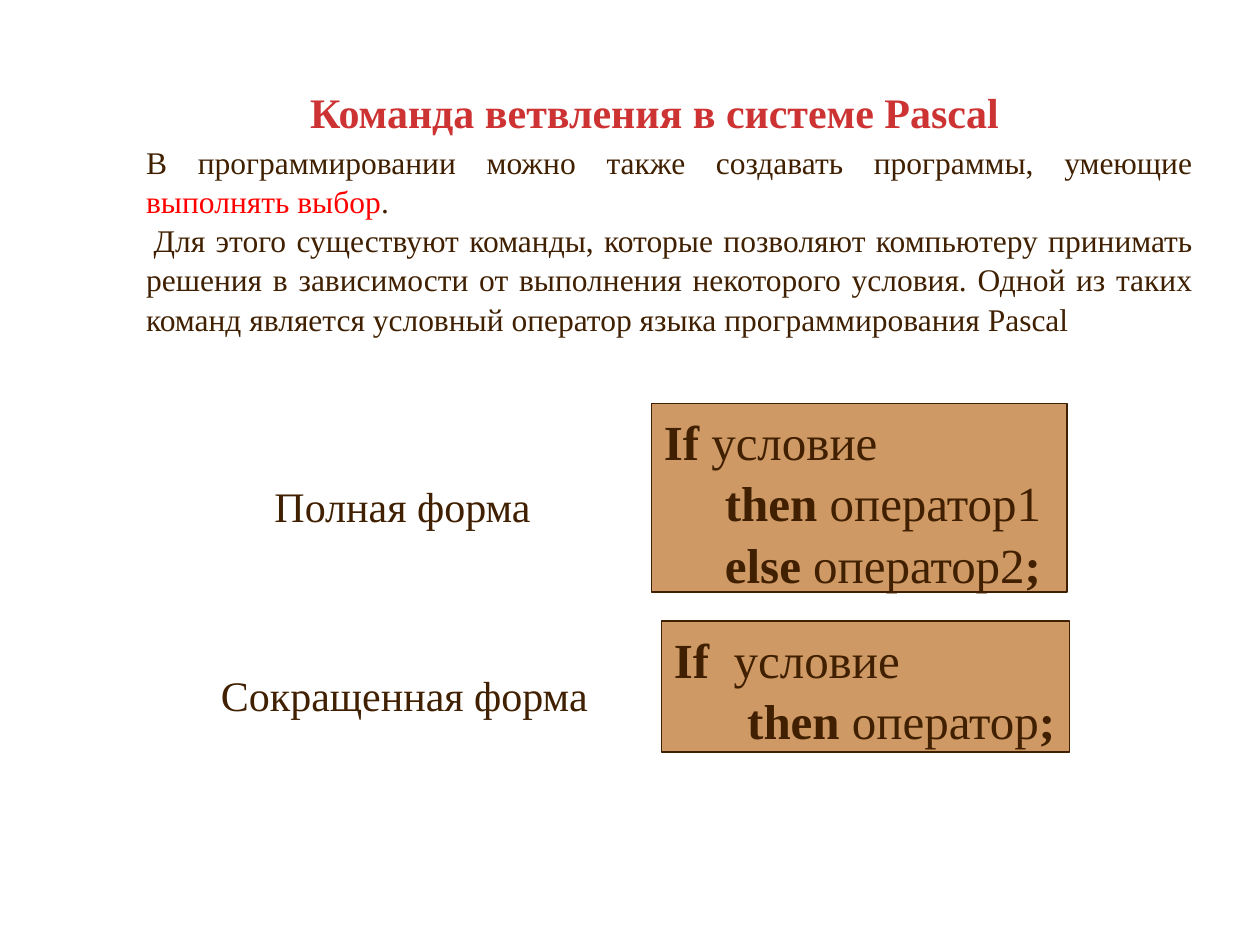
from dataclasses import dataclass

from pptx import Presentation
from pptx.dml.color import RGBColor
from pptx.enum.shapes import MSO_SHAPE
from pptx.enum.text import MSO_ANCHOR, MSO_AUTO_SIZE, PP_ALIGN
from pptx.oxml.ns import qn
from pptx.util import Inches, Pt


@dataclass(frozen=True)
class Theme:
    font: str = "Times New Roman"
    ink: str = "402000"
    heading: str = "CD3333"
    accent: str = "FF0000"
    code_fill: str = "CE9964"
    body_size: int = 18
    heading_size: int = 24
    code_size: int = 28
    line_spacing: float = 1.04


def write_text(frame, paragraphs, *, theme, size, color=None, bold=False,
               align=PP_ALIGN.LEFT, anchor=MSO_ANCHOR.TOP, wrap=True,
               auto_size=MSO_AUTO_SIZE.NONE):
    """Fill a frame; each paragraph is a list of (text, run overrides) pairs."""
    frame.word_wrap = wrap
    frame.auto_size = auto_size
    frame.vertical_anchor = anchor
    frame.margin_left = frame.margin_right = Inches(0.1)
    frame.margin_top = frame.margin_bottom = Inches(0.05)
    for index, pieces in enumerate(paragraphs):
        paragraph = frame.add_paragraph() if index else frame.paragraphs[0]
        paragraph.alignment = align
        paragraph.line_spacing = theme.line_spacing
        paragraph.space_before = Pt(0)
        for text, override in pieces:
            run = paragraph.add_run()
            run.text = text
            run.font.name = theme.font
            run.font.size = Pt(size)
            run.font.bold = override.get("bold", bold)
            run.font.color.rgb = RGBColor.from_string(
                override.get("color", color or theme.ink))


class SlideBuilder:
    def __init__(self, slide, theme):
        self.slide = slide
        self.theme = theme

    def place(self, shape, box):
        shape.left, shape.top, shape.width, shape.height = map(Inches, box)

    def title(self, text, box):
        heading = self.slide.shapes.title
        self.place(heading, box)
        write_text(heading.text_frame, [[(text, {})]], theme=self.theme,
                   size=self.theme.heading_size, color=self.theme.heading,
                   bold=True, align=PP_ALIGN.CENTER, anchor=MSO_ANCHOR.MIDDLE)

    def body(self, paragraphs, box, indents):
        """Write unbulleted paragraphs, each with its own first-line indent."""
        intro = self.slide.placeholders[1]
        self.place(intro, box)
        write_text(intro.text_frame, paragraphs, theme=self.theme,
                   size=self.theme.body_size, align=PP_ALIGN.JUSTIFY)
        for paragraph, indent in zip(intro.text_frame.paragraphs, indents):
            properties = paragraph._p.get_or_add_pPr()
            properties.set("marL", "0")
            properties.set("indent", str(Inches(indent)))
            properties.append(properties.makeelement(qn("a:buNone"), {}))

    def label(self, text, box):
        caption = self.slide.shapes.add_textbox(*map(Inches, box))
        write_text(caption.text_frame, [[(text, {})]], theme=self.theme,
                   size=self.theme.heading_size, align=PP_ALIGN.CENTER,
                   anchor=MSO_ANCHOR.MIDDLE, wrap=False)

    def code(self, lines, box):
        panel = self.slide.shapes.add_shape(MSO_SHAPE.RECTANGLE, *map(Inches, box))
        panel.shadow.inherit = False
        panel.fill.solid()
        panel.fill.fore_color.rgb = RGBColor.from_string(self.theme.code_fill)
        panel.line.color.rgb = RGBColor.from_string(self.theme.ink)
        panel.line.width = Pt(0.75)
        write_text(panel.text_frame, lines, theme=self.theme,
                   size=self.theme.code_size, wrap=False,
                   auto_size=MSO_AUTO_SIZE.SHAPE_TO_FIT_TEXT)


def main():
    presentation = Presentation()
    presentation.slide_width, presentation.slide_height = Inches(10), Inches(7.5)
    theme = Theme()
    slide = presentation.slides.add_slide(presentation.slide_layouts[1])
    builder = SlideBuilder(slide, theme)
    keyword = {"bold": True}

    builder.title("Команда ветвления в системе Pascal", (2.24, 0.44, 5.91, 0.87))
    builder.body([
        [("В программировании можно также создавать программы, умеющие ", {}),
         ("выполнять выбор", {"color": theme.accent}), (".", {})],
        [("Для этого существуют команды, которые позволяют компьютеру принимать "
          "решения в зависимости от выполнения некоторого условия. Одной из таких "
          "команд является условный оператор языка программирования Pascal", {})],
    ], (1.06, 1.07, 8.51, 1.9), indents=(0, 0.06))

    builder.code([
        [("If  ", keyword), ("условие", {})],
        [("      then ", keyword), ("оператор", {}), (";", keyword)],
    ], (5.25, 4.93, 3.24, 1.04))
    builder.code([
        [("If ", keyword), ("условие", {})],
        [("     then ", keyword), ("оператор1", {})],
        [("     else ", keyword), ("оператор2", {}), (";", keyword)],
    ], (5.17, 3.2, 3.3, 1.5))
    builder.label("Полная форма", (1.53, 3.59, 3.33, 0.83))
    builder.label("Сокращенная форма", (1.46, 5.09, 3.5, 0.83))

    presentation.save("out.pptx")


if __name__ == "__main__":
    main()
